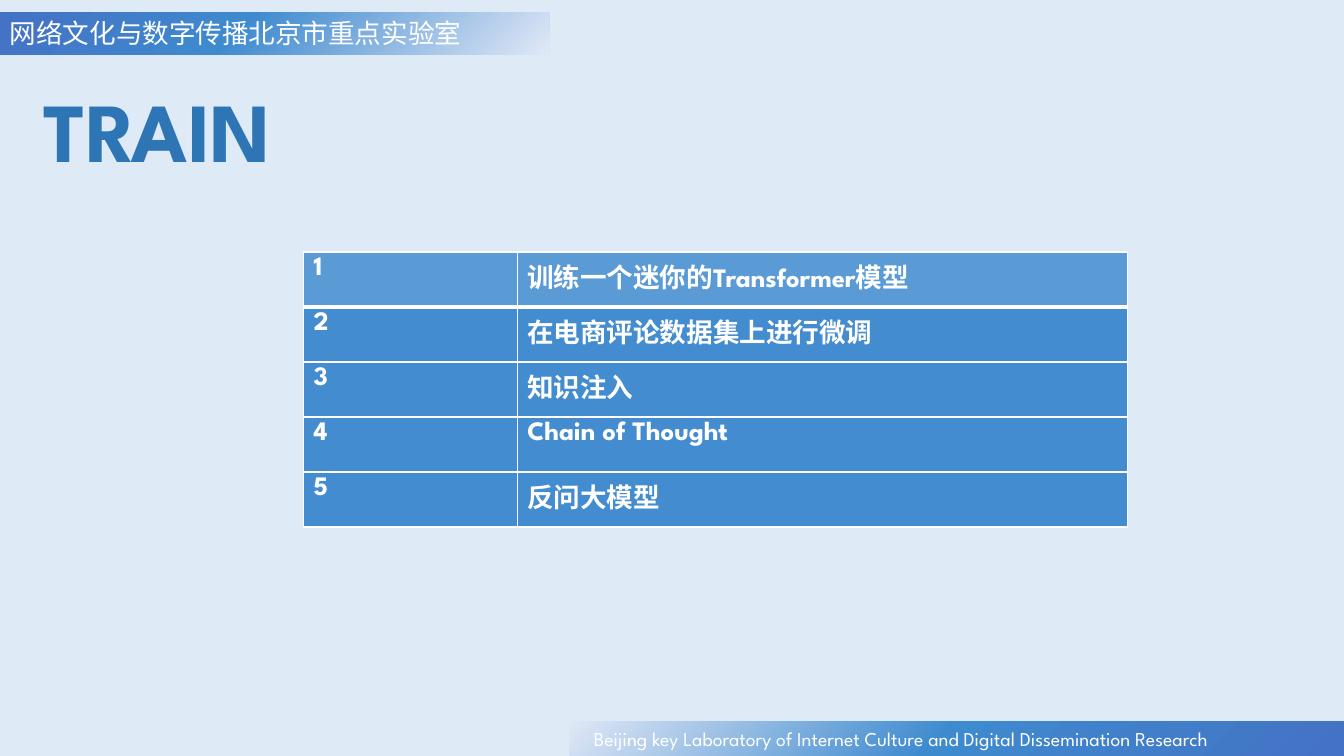
from dataclasses import dataclass

from lxml.etree import SubElement
from pptx import Presentation
from pptx.dml.color import RGBColor
from pptx.enum.text import MSO_ANCHOR as Anchor, MSO_AUTO_SIZE as AutoSize, PP_ALIGN as Align
from pptx.enum.shapes import MSO_SHAPE as Shape
from pptx.oxml import parse_xml
from pptx.oxml.ns import nsdecls, qn
from pptx.slide import Slide
from pptx.table import _Cell as Cell
from pptx.text.text import _Paragraph as Paragraph
from pptx.util import Inches, Pt

FONT = "League Spartan"
WHITE = "FFFFFF"
BACKGROUND = "DEEBF7"
TITLE_BLUE = "2E75B6"
HEADER_BLUE = "5B9BD5"
ROW_BLUE = "438CCF"
ROW_HEIGHT = 0.546
COLUMN_WIDTHS = (2.12, 6.05)
STEPS = (
    "训练一个迷你的Transformer模型",
    "在电商评论数据集上进行微调",
    "知识注入",
    "Chain of Thought",
    "反问大模型",
)


@dataclass(frozen=True)
class Banner:
    text: str
    left: float
    top: float
    width: float
    height: float
    size: int
    inset: float
    stops: tuple[tuple[int, str], ...]


BANNERS = (
    Banner("网络文化与数字传播北京市重点实验室", 0, 0.12, 5.45, 0.42, 19, 0.1,
           ((0, "E1E8F6"), (57, "3E8ACF"), (98, "4472C4"))),
    Banner("Beijing key Laboratory of Internet Culture and Digital Dissemination Research",
           5.65, 7.16, 7.68, 0.34, 14, 0.24,
           ((0, "4472C4"), (52, "3E8ACF"), (100, "DFE7F5"))),
)


def color(value: str) -> RGBColor:
    return RGBColor.from_string(value)


def style(para: Paragraph, size: int, fill: str = WHITE, bold: bool = False) -> None:
    para.alignment = Align.LEFT
    para.font.name = FONT
    para.font.size = Pt(size)
    para.font.bold = bold
    para.font.color.rgb = color(fill)


def add_banner(page: Slide, banner: Banner) -> None:
    box = page.shapes.add_shape(Shape.RECTANGLE, Inches(banner.left), Inches(banner.top),
                                Inches(banner.width), Inches(banner.height))
    box.shadow.inherit = False
    box.line.fill.background()
    set_corner_gradient(box, banner.stops)
    frame = box.text_frame
    frame.word_wrap = True
    frame.auto_size = AutoSize.SHAPE_TO_FIT_TEXT
    frame.vertical_anchor = Anchor.TOP
    frame.margin_left = Inches(banner.inset)
    frame.text = banner.text
    style(frame.paragraphs[0], banner.size)


def set_corner_gradient(box, stops: tuple[tuple[int, str], ...]) -> None:
    """Fill with a circular gradient centred on the bottom right corner."""
    marks = "".join(f'<a:gs pos="{place * 1000}"><a:srgbClr val="{value}"/></a:gs>'
                    for place, value in stops)
    gradient = parse_xml(
        f'<a:gradFill {nsdecls("a")} rotWithShape="1"><a:gsLst>{marks}</a:gsLst>'
        '<a:path path="circle"><a:fillToRect l="100000" t="100000"/></a:path></a:gradFill>')
    box._element.spPr.find(qn("a:prstGeom")).addnext(gradient)


def add_title(page: Slide, text: str) -> None:
    title = page.shapes.title
    title.left, title.top = Inches(0.33), Inches(0.6)
    title.width, title.height = Inches(5.76), Inches(1.24)
    frame = title.text_frame
    frame.text = text
    frame.auto_size = AutoSize.NONE
    frame.vertical_anchor = Anchor.BOTTOM
    frame.paragraphs[0].line_spacing = 0.9
    style(frame.paragraphs[0], 60, TITLE_BLUE, bold=True)


def set_borders(cell: Cell, top: int, bottom: int) -> None:
    properties = cell._tc.get_or_add_tcPr()
    for side, width in (("L", 1), ("R", 1), ("T", top), ("B", bottom)):
        line = SubElement(properties, qn(f"a:ln{side}"), w=str(Pt(width)))
        SubElement(SubElement(line, qn("a:solidFill")), qn("a:srgbClr"), val=WHITE)


def add_steps(page: Slide) -> None:
    table = page.shapes.add_table(
        len(STEPS), len(COLUMN_WIDTHS), Inches(3.01), Inches(2.5),
        Inches(sum(COLUMN_WIDTHS)), Inches(ROW_HEIGHT * len(STEPS))).table
    for column, width in zip(table.columns, COLUMN_WIDTHS):
        column.width = Inches(width)
    for index, step in enumerate(STEPS):
        for cell, text in zip(table.rows[index].cells, (str(index + 1), step)):
            cell.text = text
            style(cell.text_frame.paragraphs[0], 19, bold=True)
            set_borders(cell, top=3 if index == 1 else 1, bottom=3 if index == 0 else 1)
            cell.fill.solid()
            cell.fill.fore_color.rgb = color(ROW_BLUE if index else HEADER_BLUE)


def main() -> None:
    deck = Presentation()
    deck.slide_width, deck.slide_height = Inches(13.33), Inches(7.5)
    page = deck.slides.add_slide(deck.slide_layouts[5])
    page.background.fill.solid()
    page.background.fill.fore_color.rgb = color(BACKGROUND)
    for banner in BANNERS:
        add_banner(page, banner)
    add_title(page, "TRAIN")
    add_steps(page)
    deck.save("out.pptx")


if __name__ == "__main__":
    main()
